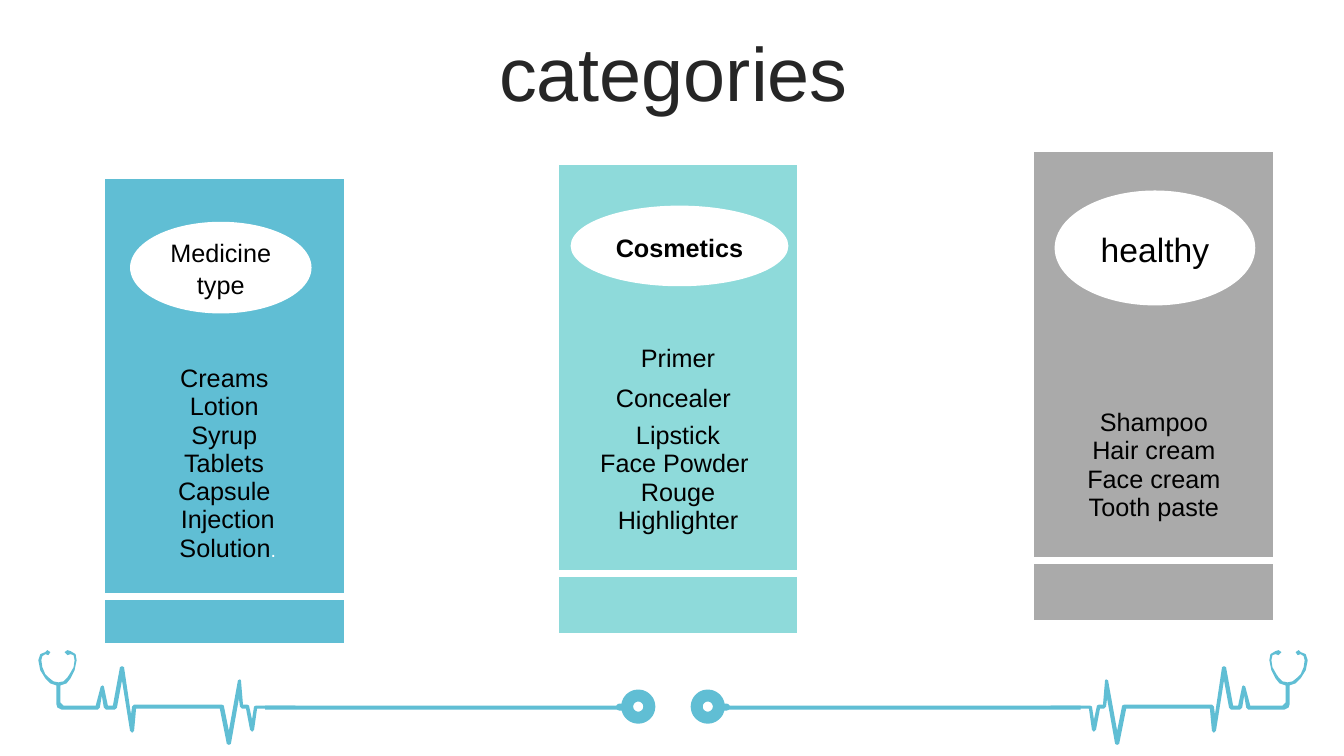
from lxml import etree
from pptx import Presentation
from pptx.dml.color import RGBColor
from pptx.enum.shapes import MSO_SHAPE
from pptx.enum.text import MSO_ANCHOR, PP_ALIGN
from pptx.oxml.ns import qn
from pptx.util import Inches, Pt

OVAL, BAR, PILL = MSO_SHAPE.OVAL, MSO_SHAPE.RECTANGLE, MSO_SHAPE.ROUNDED_RECTANGLE
CENTER, LEFT = PP_ALIGN.CENTER, PP_ALIGN.LEFT
MIDDLE, TOP = MSO_ANCHOR.MIDDLE, MSO_ANCHOR.TOP

BLUE = RGBColor(0x60, 0xBE, 0xD4)
TEAL = RGBColor(0x8E, 0xDA, 0xDA)
GRAY = RGBColor(0xAA, 0xAA, 0xAA)
WHITE = RGBColor(0xFF, 0xFF, 0xFF)
BLACK = RGBColor(0, 0, 0)
DARK = RGBColor(0x26, 0x26, 0x26)

FONT = "Arial"
PLAIN_TABLE_STYLE = "{2D5ABB26-0587-4C30-8999-92F81FD0307C}"
MIRROR_SUM = 13.35  # left x plus mirrored x
COLUMN_WIDTHS = (0.23, 1.89, 0.23)
SHORT_ROWS = (1.73, 0.43, 1.89, 0.59)

STETHOSCOPE_PULSE = (
    # Earpieces and tubes
    (0.38, 6.55), (0.40, 6.49), (0.45, 6.47), (0.47, 6.45), (0.50, 6.47),
    (0.48, 6.50), (0.45, 6.49), (0.42, 6.51), (0.41, 6.55), (0.42, 6.62),
    (0.45, 6.69), (0.48, 6.72), (0.53, 6.76), (0.58, 6.77), (0.63, 6.76),
    (0.67, 6.72), (0.69, 6.69), (0.73, 6.62), (0.74, 6.55), (0.73, 6.50),
    (0.70, 6.49), (0.67, 6.50), (0.64, 6.47), (0.67, 6.45), (0.70, 6.46),
    (0.75, 6.49), (0.76, 6.55), (0.74, 6.65), (0.70, 6.73), (0.66, 6.78),
    (0.60, 6.80), (0.60, 6.97), (0.63, 7.00),
    # Upper edge of the pulse
    (0.95, 7.00), (1.00, 6.81), (1.02, 6.80), (1.03, 6.81), (1.07, 7.00),
    (1.12, 7.00), (1.19, 6.62), (1.21, 6.61), (1.23, 6.62), (1.30, 7.09),
    (1.31, 7.01), (1.33, 6.99), (2.20, 6.99), (2.22, 7.00), (2.27, 7.25),
    (2.36, 6.75), (2.38, 6.74), (2.39, 6.75), (2.41, 6.99), (2.45, 6.99),
    (2.47, 7.00), (2.50, 7.14), (2.52, 7.01), (2.54, 7.00), (2.93, 7.00),
    # Lower edge, going back
    (2.93, 7.03), (2.55, 7.03), (2.52, 7.24), (2.50, 7.26), (2.48, 7.24),
    (2.44, 7.03), (2.40, 7.03), (2.38, 7.01), (2.37, 6.93), (2.29, 7.38),
    (2.27, 7.39), (2.25, 7.38), (2.18, 7.03), (1.35, 7.03), (1.33, 7.25),
    (1.31, 7.27), (1.29, 7.25), (1.21, 6.75), (1.16, 7.02), (1.14, 7.04),
    (1.05, 7.04), (1.03, 7.02), (1.01, 6.90), (0.99, 7.02), (0.97, 7.04),
    (0.61, 7.04), (0.57, 7.02), (0.56, 6.99), (0.56, 6.80), (0.50, 6.78),
    (0.45, 6.73), (0.40, 6.65),
)


def style_paragraph(paragraph, size, color=BLACK, bold=False, alignment=CENTER):
    paragraph.alignment = alignment
    paragraph.font.name = FONT
    paragraph.font.size = Pt(size)
    paragraph.font.color.rgb = color
    paragraph.font.bold = bold


def fill_plain(shape, color):
    shape.shadow.inherit = False
    shape.fill.solid()
    shape.fill.fore_color.rgb = color
    shape.line.fill.background()


def add_plain_shape(slide, kind, box, color):
    shape = slide.shapes.add_shape(kind, *map(Inches, box))
    fill_plain(shape, color)
    return shape


def add_text(slide, box, text, size, color=BLACK, alignment=LEFT, anchor=TOP):
    frame = slide.shapes.add_textbox(*map(Inches, box)).text_frame
    frame.word_wrap = True
    frame.vertical_anchor = anchor
    paragraph = frame.paragraphs[0]
    paragraph.text = text
    style_paragraph(paragraph, size, color, alignment=alignment)
    return paragraph


def add_heading_oval(slide, box, text, size=18, bold=False):
    frame = add_plain_shape(slide, OVAL, box, WHITE).text_frame
    frame.word_wrap = True
    frame.vertical_anchor = MIDDLE
    paragraph = frame.paragraphs[0]
    paragraph.text = text
    paragraph.line_spacing = 1.07
    style_paragraph(paragraph, size, bold=bold)


def add_stethoscope(slide, mirrored):
    """Draw one half of the footer; the right half mirrors the left."""
    def flip(x, width=0):
        return MIRROR_SUM - x - width if mirrored else x

    points = [(Inches(flip(x)), Inches(y)) for x, y in STETHOSCOPE_PULSE]
    builder = slide.shapes.build_freeform(*points[0])
    builder.add_line_segments(points[1:], close=True)
    fill_plain(builder.convert_to_shape(), BLUE)

    ring = add_plain_shape(slide, OVAL, (flip(6.22, 0.22), 6.9, 0.22, 0.22), WHITE)
    ring.fill.background()
    ring.line.color.rgb = BLUE
    ring.line.width = Pt(8.57)
    joint = add_plain_shape(slide, PILL, (flip(6.11, 0.11), 6.98, 0.11, 0.07), BLUE)
    joint.adjustments[0] = 0.5
    add_plain_shape(slide, BAR, (flip(2.63, 3.56), 7, 3.56, 0.04), BLUE)


def add_white_border(cell, tag):
    properties = cell._tc.get_or_add_tcPr()
    border = etree.Element(qn(tag), w=str(Pt(6)))
    fill = etree.SubElement(border, qn("a:solidFill"))
    etree.SubElement(fill, qn("a:srgbClr"), val=str(WHITE))
    properties.insert(0, border)


def write_cell(cell, lines):
    cell.text = "\n".join(lines)
    for paragraph in cell.text_frame.paragraphs:
        style_paragraph(paragraph, 18)


def add_category_panel(slide, left, top, row_heights, color, items):
    """Add a coloured table with a list in its third row and a split-off foot."""
    table = slide.shapes.add_table(
        4, 3, Inches(left), Inches(top),
        Inches(sum(COLUMN_WIDTHS)), Inches(sum(row_heights))).table
    table.first_row = table.horz_banding = False
    table._tbl.tblPr.find(qn("a:tableStyleId")).text = PLAIN_TABLE_STYLE
    for column, width in zip(table.columns, COLUMN_WIDTHS):
        column.width = Inches(width)
    for row, height in zip(table.rows, row_heights):
        row.height = Inches(height)
        for cell in row.cells:
            cell.fill.solid()
            cell.fill.fore_color.rgb = color
            style_paragraph(cell.text_frame.paragraphs[0], 12)
    for column in range(3):
        add_white_border(table.cell(2, column), "a:lnB")
        add_white_border(table.cell(3, column), "a:lnT")
    for row in (0, 1, 3):
        table.cell(row, 0).merge(table.cell(row, 2))
    list_cell = table.cell(2, 1)
    list_cell.vertical_anchor = MIDDLE
    write_cell(list_cell, items)
    return table


def main():
    presentation = Presentation()
    presentation.slide_width = Inches(13.33)
    presentation.slide_height = Inches(7.5)
    slide = presentation.slides.add_slide(presentation.slide_layouts[6])

    for mirrored in (True, False):
        add_stethoscope(slide, mirrored)
    title = add_text(slide, (0.35, 0.37, 12.66, 0.79), "categories", 54, DARK, CENTER, MIDDLE)
    title.line_spacing = 0.9

    medicine = add_category_panel(
        slide, 1.04, 1.78, (1.34, 0.38, 2.29, 0.46), BLUE,
        ("Creams", " Lotion ", "Syrup", " Tablets ", "Capsule", " Injection", " Solution"))
    medicine_cell = medicine.cell(2, 1)
    medicine_cell.margin_bottom = Inches(0.27)
    full_stop = medicine_cell.text_frame.paragraphs[-1].add_run()
    full_stop.text = "."
    full_stop.font.size = Pt(14)
    full_stop.font.color.rgb = WHITE

    cosmetics = add_category_panel(
        slide, 5.54, 1.64, SHORT_ROWS, TEAL,
        ("Lipstick", "Face Powder ", "Rouge\vHighlighter"))
    write_cell(cosmetics.cell(1, 0), ("Primer",))
    add_category_panel(
        slide, 10.26, 1.51, SHORT_ROWS, GRAY,
        ("Shampoo", "Hair cream", "Face cream", "Tooth paste"))

    add_heading_oval(slide, (1.29, 2.2, 1.8, 0.91), "Medicine type")
    add_heading_oval(slide, (5.66, 2.04, 2.16, 0.8), "Cosmetics", bold=True)
    add_heading_oval(slide, (10.46, 1.89, 1.99, 1.14), "healthy", size=24)
    add_text(slide, (6.01, 3.74, 1.41, 0.4), "Concealer", 18)

    presentation.save("out.pptx")


if __name__ == "__main__":
    main()
